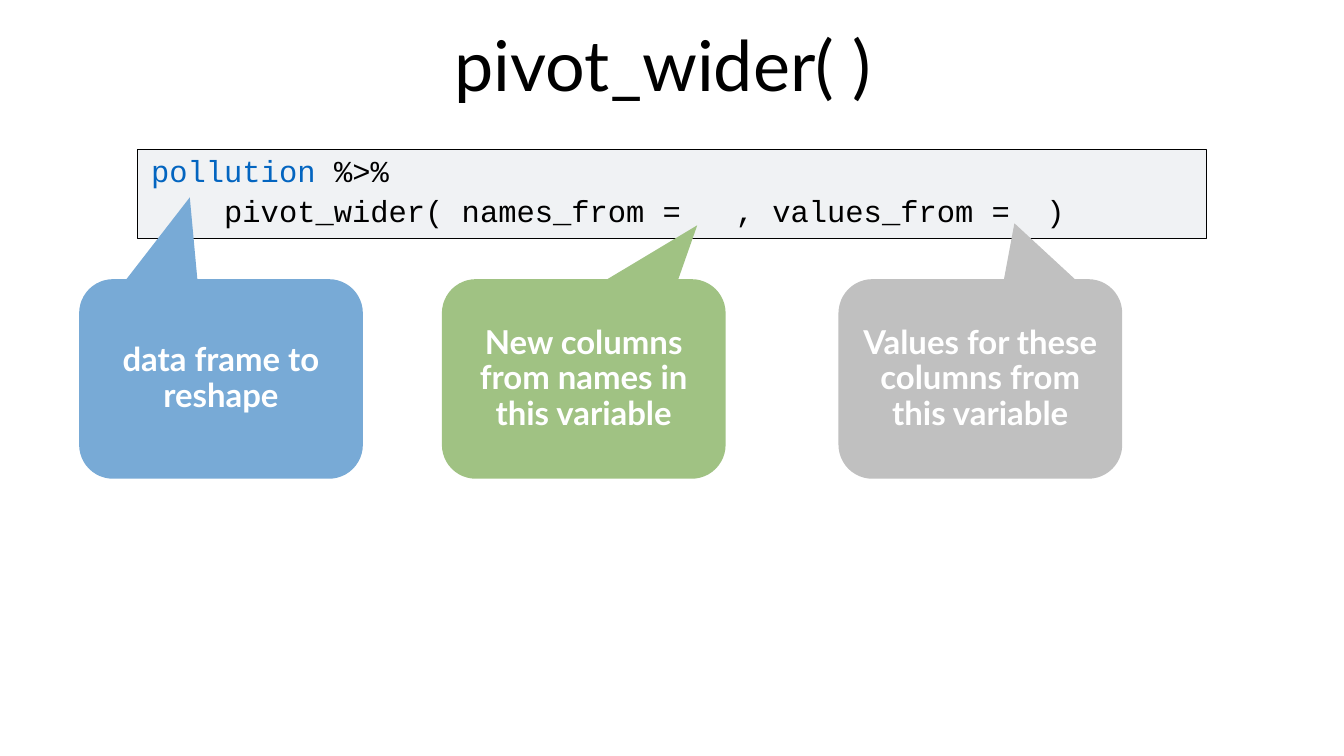
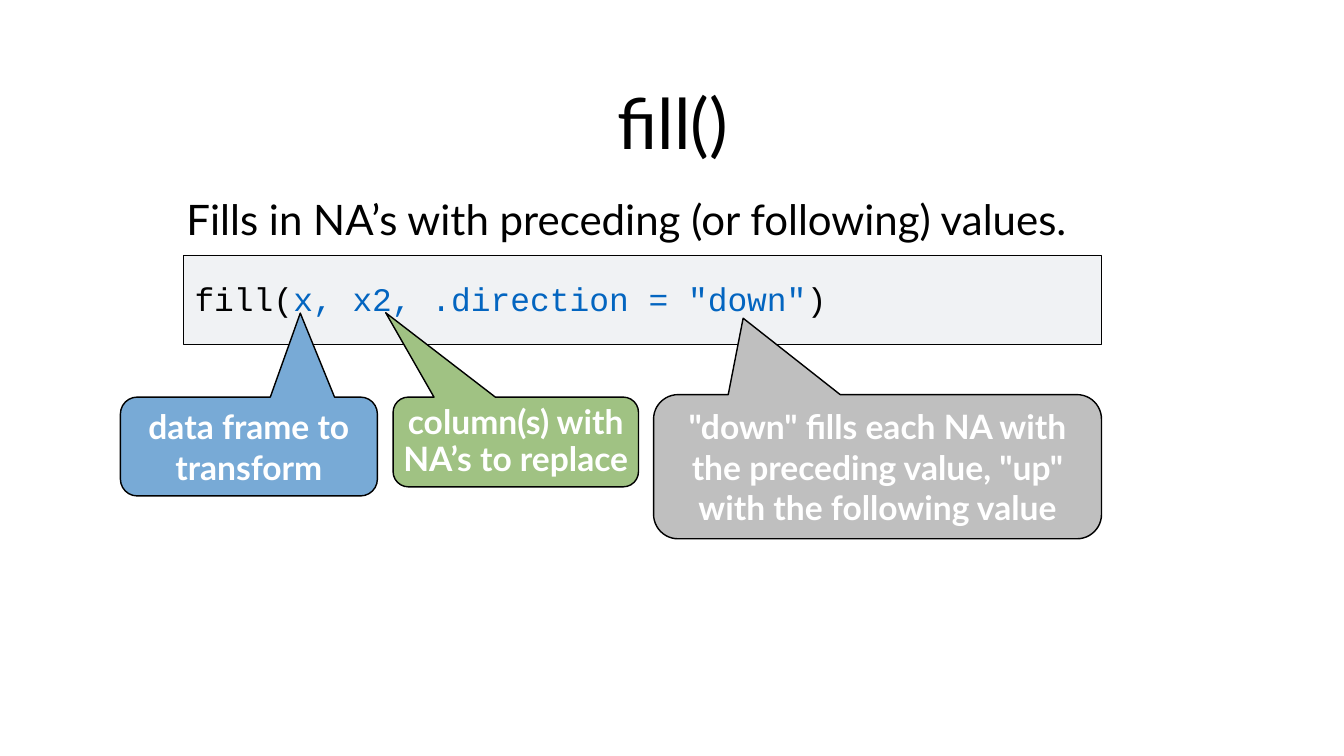
import dataclasses

import pptx
import pptx.dml.color
import pptx.enum.shapes
import pptx.enum.text
import pptx.util
import lxml.etree

SHAPE = pptx.enum.shapes.MSO_SHAPE
ALIGN = pptx.enum.text.PP_ALIGN
ANCHOR = pptx.enum.text.MSO_ANCHOR
WIDTH = pptx.util.Inches(26.67)
HEIGHT = pptx.util.Inches(15)


@dataclasses.dataclass(frozen=True)
class Theme:
    ink: str = "000000"
    panel: str = "F0F2F4"
    code_accent: str = "0365C0"
    white: str = "FFFFFF"
    blue: str = "78AAD6"
    green: str = "A0C283"
    light_gray: str = "C0C0C0"
    gray: str = "BFBFBF"
    text_font: str = "Lato"
    code_font: str = "Courier New"
    title_size: float = 100
    body_size: float = 60
    wide_code_size: float = 43.5
    code_size: float = 47
    callout_size: float = 47
    large_callout_size: float = 48


THEME = Theme()


def color(value):
    return pptx.dml.color.RGBColor.from_string(value)


def box(left, top, width, height):
    """Turn percentages of the slide's size into lengths."""
    return (int(WIDTH * left / 100), int(HEIGHT * top / 100),
            int(WIDTH * width / 100), int(HEIGHT * height / 100))


def place(shape, area):
    shape.left, shape.top, shape.width, shape.height = box(*area)


def set_frame(frame, anchor, inset=0.06):
    frame.word_wrap = True
    frame.auto_size = pptx.enum.text.MSO_AUTO_SIZE.NONE
    frame.vertical_anchor = anchor
    frame.margin_left = frame.margin_right = pptx.util.Inches(inset)
    frame.margin_top = frame.margin_bottom = pptx.util.Inches(inset)


def add_run(paragraph, text, size, font=THEME.text_font, fill=THEME.ink, bold=False):
    run = paragraph.add_run()
    run.text = text
    run.font.name = font
    run.font.size = pptx.util.Pt(size)
    run.font.bold = bold
    run.font.color.rgb = color(fill)


def style_shape(shape, fill, line_width):
    shape.shadow.inherit = False
    shape.fill.solid()
    shape.fill.fore_color.rgb = color(fill)
    if line_width:
        shape.line.color.rgb = color(THEME.ink)
        shape.line.width = pptx.util.Pt(line_width)
    else:
        shape.line.fill.background()


def set_title(slide, text, left, top):
    title = slide.shapes.title
    place(title, (left, top, 67.12, 17.47))
    set_frame(title.text_frame, ANCHOR.MIDDLE)
    paragraph = title.text_frame.paragraphs[0]
    paragraph.alignment = ALIGN.CENTER
    add_run(paragraph, text, THEME.title_size)


def set_body(slide, text, area):
    """Fill the body placeholder with one line without a bullet."""
    body = slide.placeholders[1]
    place(body, area)
    set_frame(body.text_frame, ANCHOR.MIDDLE)
    paragraph = body.text_frame.paragraphs[0]
    properties = paragraph._p.get_or_add_pPr()
    properties.set("marL", "0")
    properties.set("indent", "0")
    lxml.etree.SubElement(properties, pptx.oxml.ns.qn("a:buNone"))
    paragraph.space_before = pptx.util.Pt(0)
    add_run(paragraph, text, THEME.body_size)


def add_code(slide, panel_area, text_area, lines, size, spacing=1.0):
    """Draw a panel and code lines, each a list of (text, colour) pairs."""
    panel = slide.shapes.add_shape(SHAPE.RECTANGLE, *box(*panel_area))
    style_shape(panel, THEME.panel, 1)
    frame = slide.shapes.add_textbox(*box(*text_area)).text_frame
    set_frame(frame, ANCHOR.TOP)
    for index, pieces in enumerate(lines):
        paragraph = frame.add_paragraph() if index else frame.paragraphs[0]
        paragraph.line_spacing = spacing
        paragraph.space_before = pptx.util.Pt(15 if index else 0)
        for text, fill in pieces:
            add_run(paragraph, text, size, THEME.code_font, fill)


def add_callout(slide, text, area, tip, fill, size, line_width=0, spacing=1.0):
    """Add a callout; tip is its offset from the centre in shares of the box."""
    callout = slide.shapes.add_shape(SHAPE.ROUNDED_RECTANGULAR_CALLOUT, *box(*area))
    callout.adjustments[0], callout.adjustments[1] = tip
    callout.adjustments[2] = 0.17
    style_shape(callout, fill, line_width)
    set_frame(callout.text_frame, ANCHOR.MIDDLE, inset=0.08)
    paragraph = callout.text_frame.paragraphs[0]
    paragraph.alignment = ALIGN.CENTER
    paragraph.line_spacing = spacing
    add_run(paragraph, text, size, fill=THEME.white, bold=True)


def build_pivot_slide(presentation):
    slide = presentation.slides.add_slide(presentation.slide_layouts[5])
    set_title(slide, "pivot_wider( ) ", 16.42, -0.27)
    code = [
        [("pollution", THEME.code_accent), (" %>%", THEME.ink)],
        [("    pivot_wider( names_from =   , values_from =  )", THEME.ink)],
    ]
    add_code(slide, (10.24, 19.73, 79.49, 11.8), (11.02, 20.67, 71.95, 10.4),
             code, THEME.wide_code_size, spacing=0.8)
    callouts = [
        ("New columns from names in this variable", 32.88, (0.4, -0.77), THEME.green),
        ("data frame to reshape", 5.89, (-0.11, -0.91), THEME.blue),
        ("Values for these columns from this variable", 62.39, (0.12, -0.78),
         THEME.light_gray),
    ]
    for text, left, tip, fill in callouts:
        add_callout(slide, text, (left, 36.93, 21.11, 26.4), tip, fill,
                    THEME.callout_size, spacing=0.9)


def build_fill_slide(presentation):
    slide = presentation.slides.add_slide(presentation.slide_layouts[1])
    set_title(slide, "fill()", 16.5, 7.33)
    set_body(slide, "Fills in NA’s with preceding (or following) values.",
             (13.65, 23.67, 72.85, 10.4))
    code = [[("fill(", THEME.ink), ('x, x2, .direction = "down"', THEME.code_accent),
             (")", THEME.ink)]]
    add_code(slide, (13.65, 33.73, 68.32, 11.8), (14.25, 36.4, 64.64, 10.4),
             code, THEME.code_size)
    callouts = [
        ("data frame to transform", (8.96, 52.53, 19.12, 13.07),
         (0.2, -1.35), THEME.blue, 1.0),
        ("column(s) with NA’s to replace", (29.25, 52.53, 18.26, 11.87),
         (-0.53, -1.44), THEME.green, 0.9),
        ('"down" fills each NA with the preceding value, "up" with the following value',
         (48.63, 52.2, 33.33, 19.07), (-0.3, -1.03), THEME.gray, 1.0),
    ]
    for text, area, tip, fill, spacing in callouts:
        add_callout(slide, text, area, tip, fill, THEME.large_callout_size,
                    line_width=2, spacing=spacing)


def main():
    presentation = pptx.Presentation()
    presentation.slide_width = WIDTH
    presentation.slide_height = HEIGHT
    build_pivot_slide(presentation)
    build_fill_slide(presentation)
    presentation.save("out.pptx")


if __name__ == "__main__":
    main()
